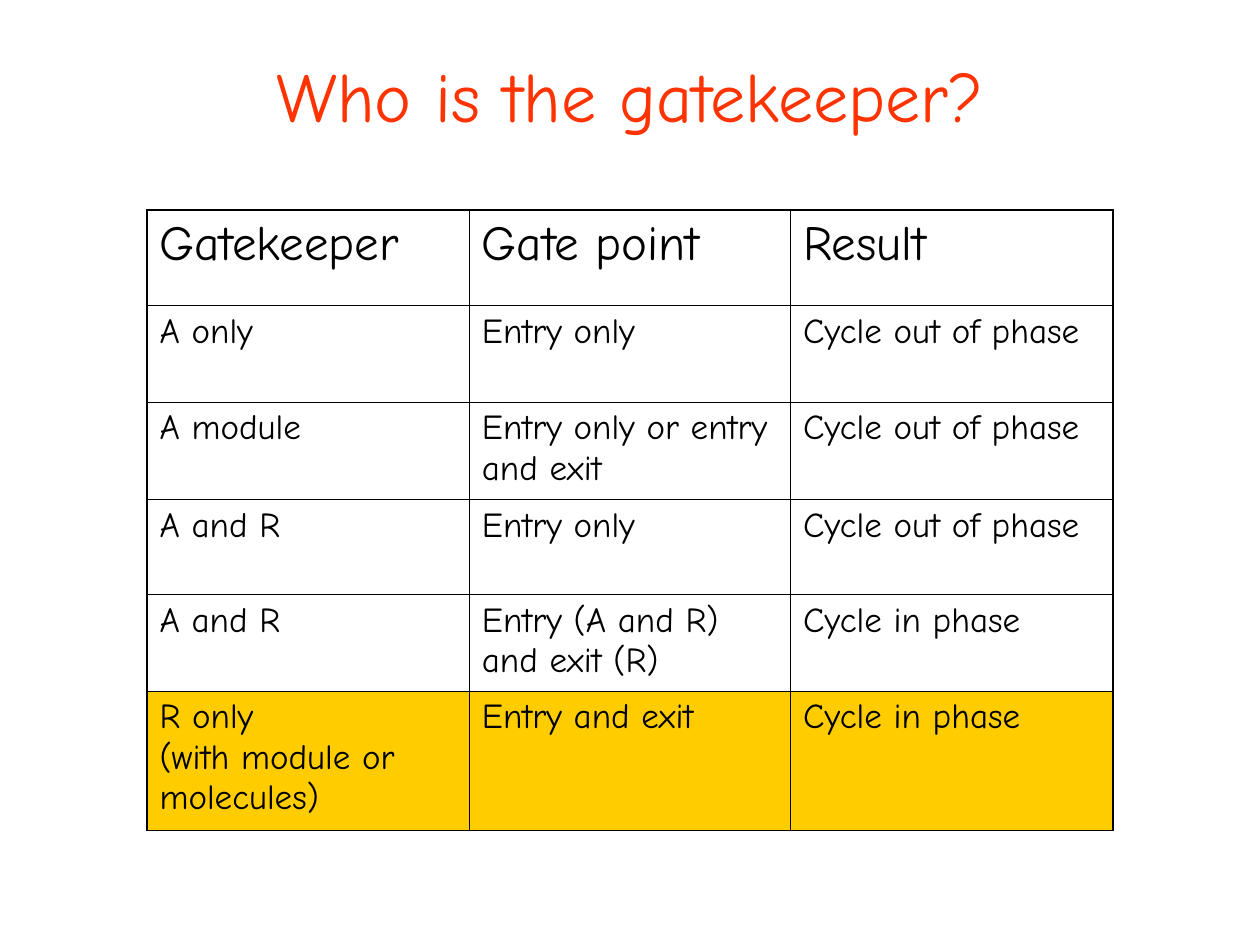
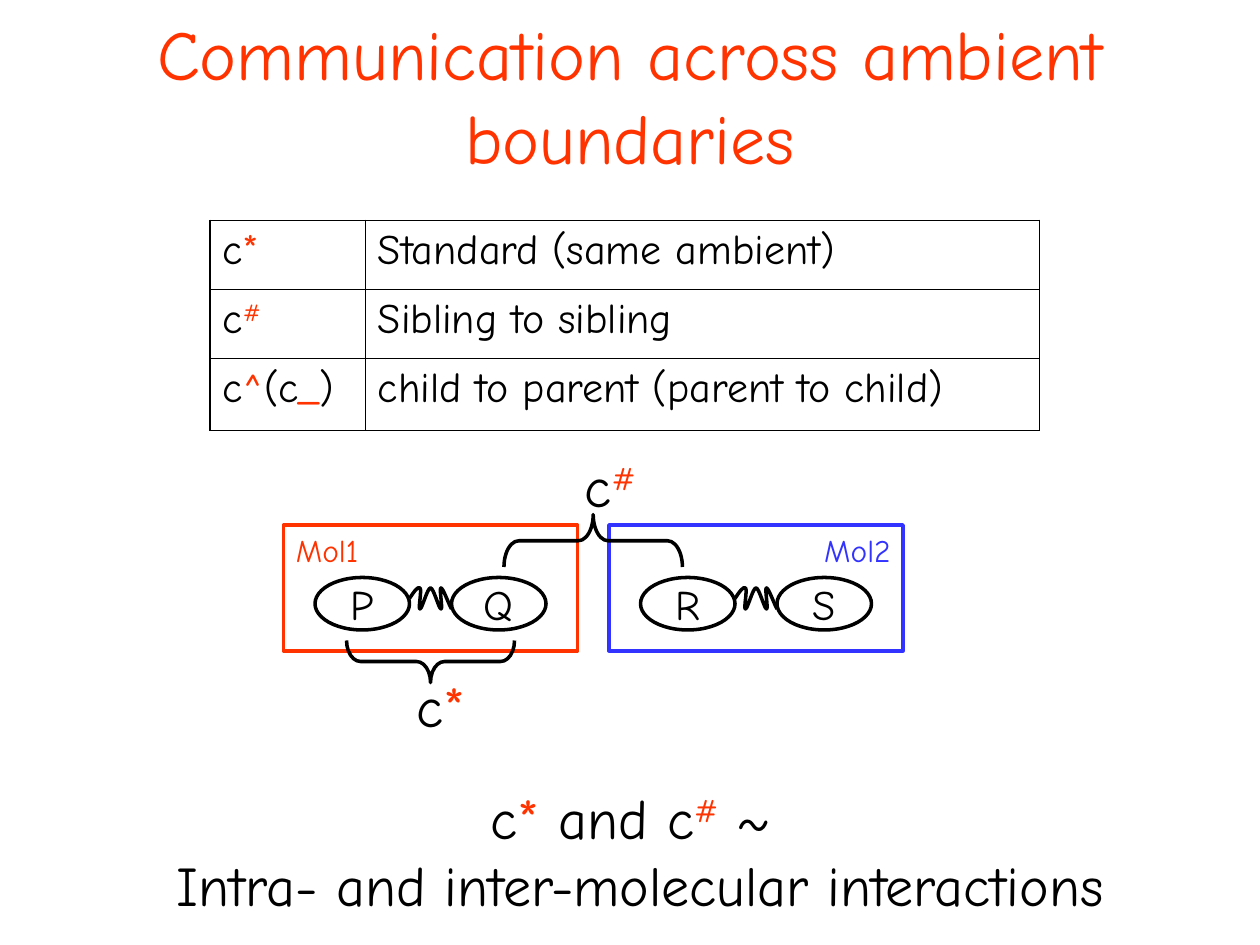
from typing import NamedTuple

from lxml.etree import SubElement
from pptx import Presentation
from pptx.dml.color import RGBColor
from pptx.enum.shapes import MSO_SHAPE
from pptx.enum.text import MSO_ANCHOR, PP_ALIGN
from pptx.oxml.ns import qn
from pptx.util import Emu, Pt

EMU_PER_PX = 7620  # 120 px to the inch
FONT = "Comic Neue"
BLACK, WHITE, RED, BLUE, GOLD = "000000", "FFFFFF", "FF3300", "3333FF", "FFCC00"
THICK, THIN = 1.08, 0.45
OUTLINE = 2


class Box(NamedTuple):
    left: int
    top: int
    width: int
    height: int


class Span(NamedTuple):
    text: str
    color: str = BLACK
    raised: bool = False


class TextStyle(NamedTuple):
    size: int
    align: PP_ALIGN = PP_ALIGN.LEFT
    anchor: MSO_ANCHOR = MSO_ANCHOR.TOP
    wrap: bool = False


class Molecule(NamedTuple):
    name: str
    left: int
    color: str
    align: PP_ALIGN
    sites: str


class Brace(NamedTuple):
    """A brace as it appears on the page, and its turn from upright."""
    box: Box
    rotation: int


Line = list[Span]

STAR = Span("*", RED)
HASH = Span("#", RED, raised=True)

TITLE_BOX = Box(60, 40, 1080, 100)
TITLE = TextStyle(40, PP_ALIGN.CENTER, MSO_ANCHOR.MIDDLE, wrap=True)
CENTERED = TextStyle(24, PP_ALIGN.CENTER, MSO_ANCHOR.MIDDLE)
CAPTION = TextStyle(32, PP_ALIGN.CENTER, MSO_ANCHOR.MIDDLE)
CHANNEL = TextStyle(32, PP_ALIGN.CENTER)

GATEKEEPERS = [
    ["Gatekeeper", "Gate point", "Result"],
    ["A only", "Entry only", "Cycle out of phase"],
    ["A module", "Entry only or entry and exit", "Cycle out of phase"],
    ["A and R", "Entry only", "Cycle out of phase"],
    ["A and R", "Entry (A and R) and exit (R)", "Cycle in phase"],
    ["R only\n(with module or molecules)", "Entry and exit", "Cycle in phase"],
]
CHANNELS = [
    ([Span("c"), STAR], "Standard (same ambient)"),
    ([Span("c"), HASH], "Sibling to sibling"),
    ([Span("c"), Span("^", RED), Span("(c"), Span("_", RED), Span(")")],
     "child to parent (parent to child)"),
]
MOLECULES = [
    Molecule("Mol1", 270, RED, PP_ALIGN.LEFT, "PQ"),
    Molecule("Mol2", 580, BLUE, PP_ALIGN.RIGHT, "RS"),
]
SITE_PITCH, SITE_WIDTH, SITE_HEIGHT = 130, 90, 50
# Cubic segments of the spring, each as two controls and an end point.
SPRING = [
    (4, -6), (8, -12), (10, -10),
    (12, -8), (8, 10), (10, 10),
    (12, 10), (17, -10), (20, -10),
    (23, -10), (28, 10), (30, 10),
    (32, 10), (28, -10), (30, -10),
    (32, -10), (38, 7), (40, 10),
]


def px(value: float) -> Emu:
    return Emu(round(value * EMU_PER_PX))


def place(box: Box) -> list[Emu]:
    return [px(value) for value in box]


def rgb(color: str) -> RGBColor:
    return RGBColor.from_string(color)


def write(frame, lines: list[Line], style: TextStyle) -> None:
    """Write one paragraph with a line break between the lines."""
    frame.word_wrap = style.wrap
    frame.vertical_anchor = style.anchor
    para = frame.paragraphs[0]
    para.alignment = style.align
    for index, line in enumerate(lines):
        if index:
            para.add_line_break()
        for span in line:
            run = para.add_run()
            run.text = span.text
            run.font.size = Pt(style.size)
            run.font.name = FONT
            run.font.color.rgb = rgb(span.color)
            if span.raised:
                run.font._element.set("baseline", "30000")


def add_text(page, box: Box, lines: list[Line], style: TextStyle) -> None:
    write(page.shapes.add_textbox(*place(box)).text_frame, lines, style)


def paint(shape, fill: str | None, line: str | None) -> None:
    shape.shadow.inherit = False
    if fill:
        shape.fill.solid()
        shape.fill.fore_color.rgb = rgb(fill)
    else:
        shape.fill.background()
    if line:
        shape.line.color.rgb = rgb(line)
        shape.line.width = Pt(OUTLINE)
    else:
        shape.line.fill.background()


def add_shape(page, kind: MSO_SHAPE, box: Box, line: str | None,
              lines: list[Line], style: TextStyle) -> None:
    """Add a white preset shape with text."""
    shape = page.shapes.add_shape(kind, *place(box))
    paint(shape, WHITE, line)
    write(shape.text_frame, lines, style)


def add_brace(page, brace: Brace) -> None:
    """Turn an upright brace so that it fills the wide box."""
    left, top, length, depth = brace.box
    shift = (length - depth) / 2
    shape = page.shapes.add_shape(
        MSO_SHAPE.RIGHT_BRACE, px(left + shift), px(top - shift), px(depth), px(length))
    shape.adjustments[0] = length / 12 / depth
    shape.rotation = brace.rotation
    paint(shape, None, BLACK)


def add_spring(page, left: int, top: int) -> None:
    """Lay out the control points as lines, then join each three into a curve."""
    builder = page.shapes.build_freeform(px(left), px(top))
    points = [(px(left + x), px(top + y)) for x, y in SPRING]
    builder.add_line_segments(points, close=False)
    shape = builder.convert_to_shape()
    paint(shape, WHITE, BLACK)
    outline = next(shape._element.iter(qn("a:path")))
    segments = outline.findall(qn("a:lnTo"))
    for start in range(0, len(segments), 3):
        curve = SubElement(outline, qn("a:cubicBezTo"))
        for segment in segments[start:start + 3]:
            curve.append(segment[0])
            outline.remove(segment)


def set_borders(cell, outer_sides: dict[str, bool]) -> None:
    """Draw a thick line on the outer sides of the table, a thin one inside."""
    properties = cell._tc.get_or_add_tcPr()
    for side, outer in outer_sides.items():
        width = Pt(THICK if outer else THIN)
        line = SubElement(properties, qn(f"a:ln{side}"), w=str(int(width)))
        fill = SubElement(line, qn("a:solidFill"))
        SubElement(fill, qn("a:srgbClr"), val=BLACK)


def add_grid(page, left: int, top: int, widths: list[int], heights: list[int]):
    """Add an unfilled table with borders."""
    box = Box(left, top, sum(widths), sum(heights))
    table = page.shapes.add_table(len(heights), len(widths), *place(box)).table
    table.first_row = table.horz_banding = False
    for column, width in zip(table.columns, widths):
        column.width = px(width)
    for row_index, (row, height) in enumerate(zip(table.rows, heights)):
        row.height = px(height)
        for column_index, cell in enumerate(row.cells):
            set_borders(cell, {
                "L": column_index == 0,
                "R": column_index == len(widths) - 1,
                "T": row_index == 0,
                "B": row_index == len(heights) - 1,
            })
            cell.fill.background()
    return table


def add_page(deck, title: str):
    page = deck.slides.add_slide(deck.slide_layouts[6])
    add_text(page, TITLE_BOX, [[Span(title, RED)]], TITLE)
    return page


def add_gatekeeper_page(deck) -> None:
    page = add_page(deck, "Who is the gatekeeper?")
    table = add_grid(page, 140, 200, [307, 306, 307], [91, 92, 93, 90, 92, 133])
    last = len(GATEKEEPERS) - 1
    for row_index, texts in enumerate(GATEKEEPERS):
        style = TextStyle(20 if row_index else 28, wrap=True)
        for cell, text in zip(table.rows[row_index].cells, texts):
            write(cell.text_frame, [[Span(line)] for line in text.split("\n")], style)
            if row_index == last:
                cell.fill.solid()
                cell.fill.fore_color.rgb = rgb(GOLD)


def add_molecule(page, molecule: Molecule) -> None:
    add_shape(page, MSO_SHAPE.RECTANGLE, Box(molecule.left, 500, 280, 120), molecule.color,
              [[Span(molecule.name, molecule.color)]], TextStyle(18, molecule.align))
    first_site = molecule.left + 30
    for index, site in enumerate(molecule.sites):
        box = Box(first_site + index * SITE_PITCH, 550, SITE_WIDTH, SITE_HEIGHT)
        add_shape(page, MSO_SHAPE.OVAL, box, BLACK, [[Span(site)]], CENTERED)
    add_spring(page, first_site + SITE_WIDTH, 570)


def add_communication_page(deck) -> None:
    page = add_page(deck, "Communication across ambient boundaries")
    table = add_grid(page, 200, 210, [148, 642], [66, 65, 69])
    style = TextStyle(24, wrap=True)
    for row, (channel, meaning) in zip(table.rows, CHANNELS):
        symbol_cell, meaning_cell = row.cells
        write(symbol_cell.text_frame, [channel], style)
        write(meaning_cell.text_frame, [[Span(meaning)]], style)

    add_shape(page, MSO_SHAPE.RECTANGLE, Box(80, 750, 1060, 120), None,
              [[Span("c"), STAR, Span(" and c"), HASH, Span(" ~ ")],
               [Span("Intra- and inter-molecular interactions")]], CAPTION)
    for molecule in MOLECULES:
        add_molecule(page, molecule)
    add_brace(page, Brace(Box(330, 610, 160, 40), 90))
    add_text(page, Box(383, 634, 74, 77), [[Span("c"), STAR]], CHANNEL)
    add_brace(page, Brace(Box(480, 490, 170, 50), 270))
    add_text(page, Box(541, 424, 80, 77), [[Span("c"), HASH]], CHANNEL)


def main() -> None:
    deck = Presentation()
    deck.slide_width, deck.slide_height = px(1200), px(900)
    add_gatekeeper_page(deck)
    add_communication_page(deck)
    deck.save("out.pptx")


if __name__ == "__main__":
    main()
